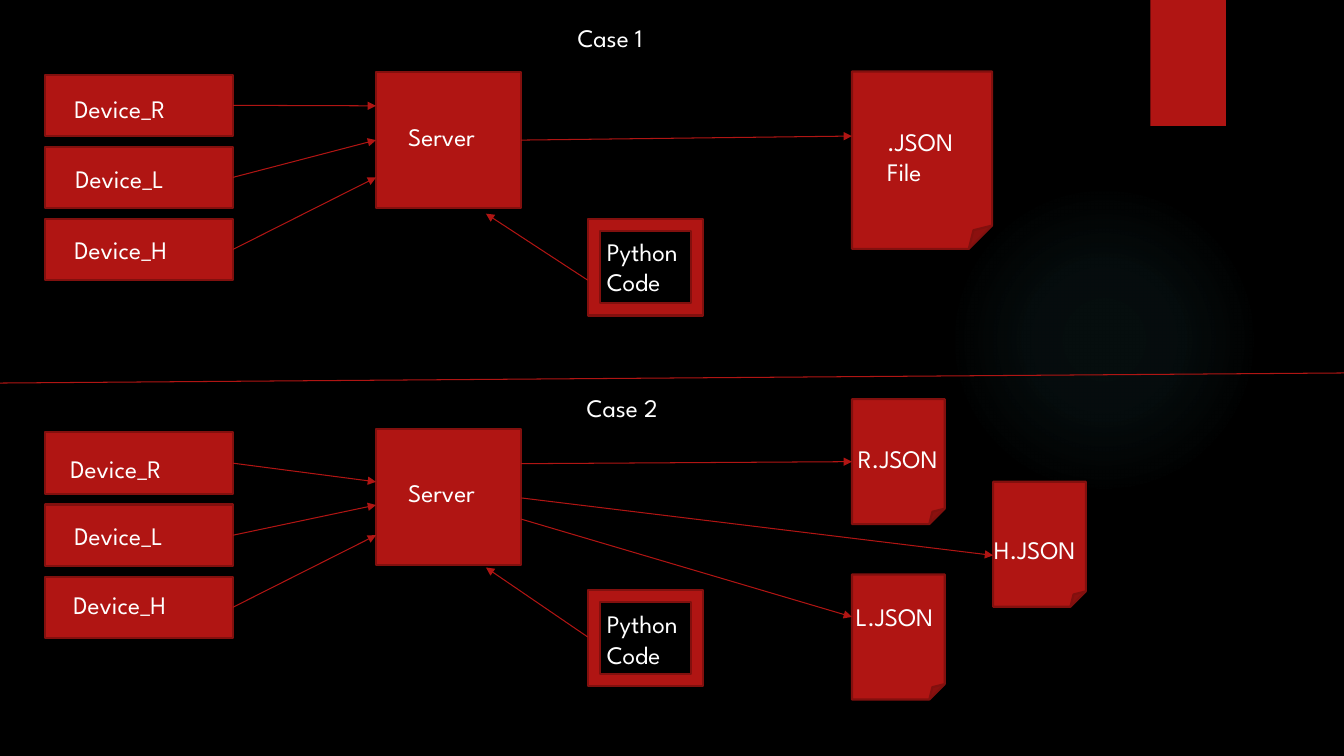
from dataclasses import dataclass

from lxml import etree
from pptx import Presentation
from pptx import util as u
from pptx.dml import color
from pptx.enum import shapes, text
from pptx.oxml import ns, parse_xml


@dataclass(frozen=True)
class Theme:
    background: str = "000000"
    accent: str = "B01513"
    edge: str = "82100E"
    ink: str = "FFFFFF"
    glow: str = "50B9C1"
    font: str = "League Spartan"
    size: int = 18
    border: float = 1.5
    line: float = 0.75


THEME = Theme()
WIDTH, HEIGHT = 13.33, 7.5
COLUMNS = {"device": 0.45, "server": 3.73, "code": 5.83, "file": 8.45, "outer file": 9.85}
SIZES = {"device": (1.86, 0.61), "server": (1.44, 1.35), "code": (1.14, 0.96),
         "report": (1.39, 1.76), "file": (0.92, 1.24)}
DEVICE_PITCH = 0.715
GLOW = (9.41, 1.83, 3.08, 3.08)
BANNER = (11.41, 0, 0.75, 1.25)
DIVIDER = ((0, 3.8), (WIDTH, 3.7))
GLOW_STOPS = [(0, 7), (36, 6), (69, 0)]

CASES = [
    {
        "title": ("Case 1", 5.63, 0.17, 2.69),
        "top": 0.71,
        "code_top": 2.17,
        "code_label": (5.92, 2.29),
        "code_arrow": (2.78, 2.12),
        "devices": [("Device_R", 0.64, 0.88, 1.05), ("Device_L", 0.65, 1.57, 1.39),
                    ("Device_H", 0.64, 2.28, 1.76)],
        "server_label": (3.95, 1.15),
        "files": [(".JSON\nFile", "report", "file", 0.71, (8.7, 1.2), (1.39, 1.35))],
    },
    {
        "title": ("Case 2", 5.72, 3.84, 1.89),
        "top": 4.26,
        "code_top": 5.85,
        "code_label": (5.92, 5.99),
        "code_arrow": (6.32, 5.63),
        "devices": [("Device_R", 0.6, 4.45, 4.78), ("Device_L", 0.64, 5.11, 5.01),
                    ("Device_H", 0.63, 5.8, 5.31)],
        "server_label": (3.95, 4.69),
        "files": [("R.JSON", "file", "file", 3.96, (8.41, 4.35), (4.6, 4.58)),
                  ("H.JSON", "file", "outer file", 4.78, (9.76, 5.25), (4.94, 5.51)),
                  ("L.JSON", "file", "file", 5.7, (8.39, 5.92), (5.15, 6.12))],
    },
]


def rgb(value):
    return color.RGBColor.from_string(value)


def add_box(page, kind, left, top, width, height, bordered=True):
    box = page.shapes.add_shape(kind, *map(u.Inches, (left, top, width, height)))
    box.shadow.inherit = False
    box.fill.solid()
    box.fill.fore_color.rgb = rgb(THEME.accent)
    if bordered:
        box.line.color.rgb = rgb(THEME.edge)
        box.line.width = u.Pt(THEME.border)
    else:
        box.line.fill.background()
    return box


def add_line(page, start, end, arrow=True):
    line = page.shapes.add_connector(shapes.MSO_CONNECTOR.STRAIGHT,
                                     *map(u.Inches, (*start, *end)))
    line.line.color.rgb = rgb(THEME.accent)
    line.line.width = u.Pt(THEME.line)
    if arrow:
        etree.SubElement(line.line._get_or_add_ln(), ns.qn("a:tailEnd"), type="triangle")
    etree.SubElement(line._element.spPr, ns.qn("a:effectLst"))


def add_label(page, words, left, top, width):
    height = 0.71 if "\n" in words or " Code" in words else 0.4
    label = page.shapes.add_textbox(*map(u.Inches, (left, top, width, height)))
    frame = label.text_frame
    frame.word_wrap = True
    frame.auto_size = text.MSO_AUTO_SIZE.SHAPE_TO_FIT_TEXT
    frame.text = words
    for para in frame.paragraphs:
        for span in para.runs:
            span.font.name = THEME.font
            span.font.size = u.Pt(THEME.size)
            span.font.color.rgb = rgb(THEME.ink)


def add_glow(page):
    glow = add_box(page, shapes.MSO_SHAPE.OVAL, *GLOW, bordered=False)
    stops = "".join(
        f'<a:gs pos="{place * 1000}"><a:srgbClr val="{THEME.glow}">'
        f'<a:alpha val="{alpha * 1000}"/></a:srgbClr></a:gs>'
        for place, alpha in GLOW_STOPS)
    gradient = parse_xml(
        f'<a:gradFill {ns.nsdecls("a")}><a:gsLst>{stops}</a:gsLst><a:path path="circle">'
        '<a:fillToRect l="50000" t="50000" r="50000" b="50000"/></a:path></a:gradFill>')
    properties = glow._element.spPr
    properties.replace(properties.find(ns.qn("a:solidFill")), gradient)


def add_case(page, case):
    device_width, device_height = SIZES["device"]
    device_right = COLUMNS["device"] + device_width
    server_right = COLUMNS["server"] + SIZES["server"][0]

    add_box(page, shapes.MSO_SHAPE.RECTANGLE, COLUMNS["server"], case["top"], *SIZES["server"])
    add_label(page, "Server", *case["server_label"], 1.06)

    for row, (name, left, label_top, arrow_end) in enumerate(case["devices"]):
        top = case["top"] + 0.03 + row * DEVICE_PITCH
        add_box(page, shapes.MSO_SHAPE.RECTANGLE, COLUMNS["device"], top, *SIZES["device"])
        add_line(page, (device_right, top + device_height / 2), (COLUMNS["server"], arrow_end))
        add_label(page, name, left, label_top, 1.45)

    add_box(page, shapes.MSO_SHAPE.FRAME, COLUMNS["code"], case["code_top"], *SIZES["code"])
    arrow_start, arrow_end = case["code_arrow"]
    add_line(page, (COLUMNS["code"], arrow_start), (4.82, arrow_end))
    add_label(page, "Python Code", *case["code_label"], 1.06)

    for name, size, column, top, label_at, (leave, arrive) in case["files"]:
        add_box(page, shapes.MSO_SHAPE.FOLDED_CORNER, COLUMNS[column], top, *SIZES[size])
        add_line(page, (server_right, leave), (COLUMNS[column], arrive))
        add_label(page, name, *label_at, 1.11)

    add_label(page, *case["title"])


def main():
    deck = Presentation()
    deck.slide_width, deck.slide_height = u.Inches(WIDTH), u.Inches(HEIGHT)
    page = deck.slides.add_slide(deck.slide_layouts[6])
    page.background.fill.solid()
    page.background.fill.fore_color.rgb = rgb(THEME.background)
    add_glow(page)
    add_box(page, shapes.MSO_SHAPE.RECTANGLE, *BANNER, bordered=False)
    for case in CASES:
        add_case(page, case)
    add_line(page, *DIVIDER, arrow=False)
    deck.save("out.pptx")


if __name__ == "__main__":
    main()
